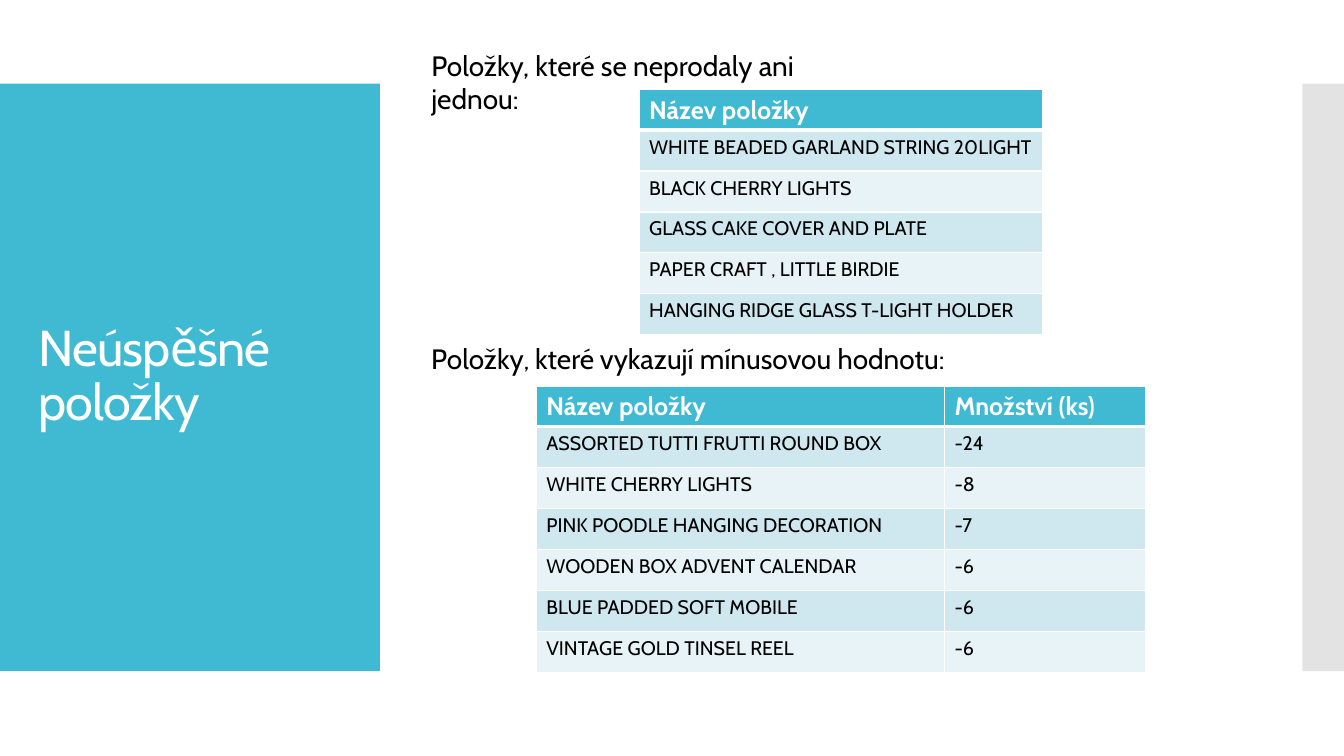
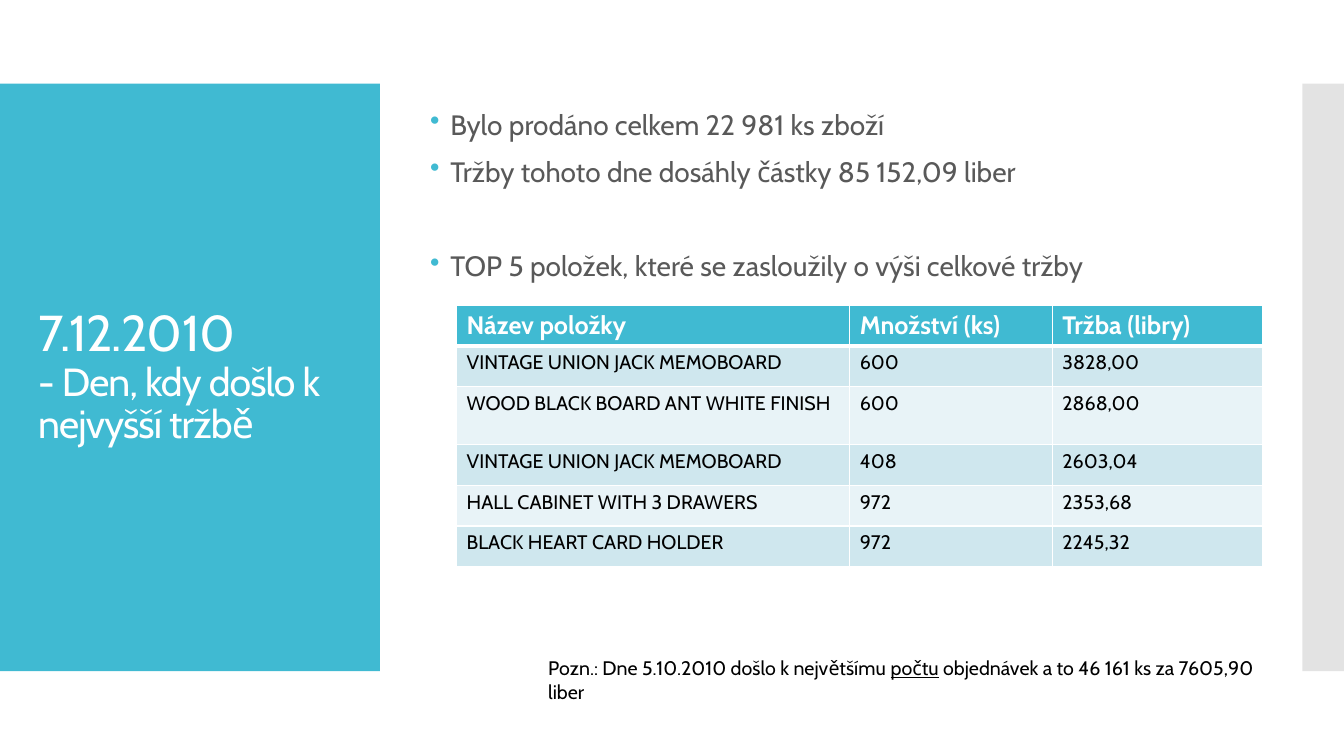
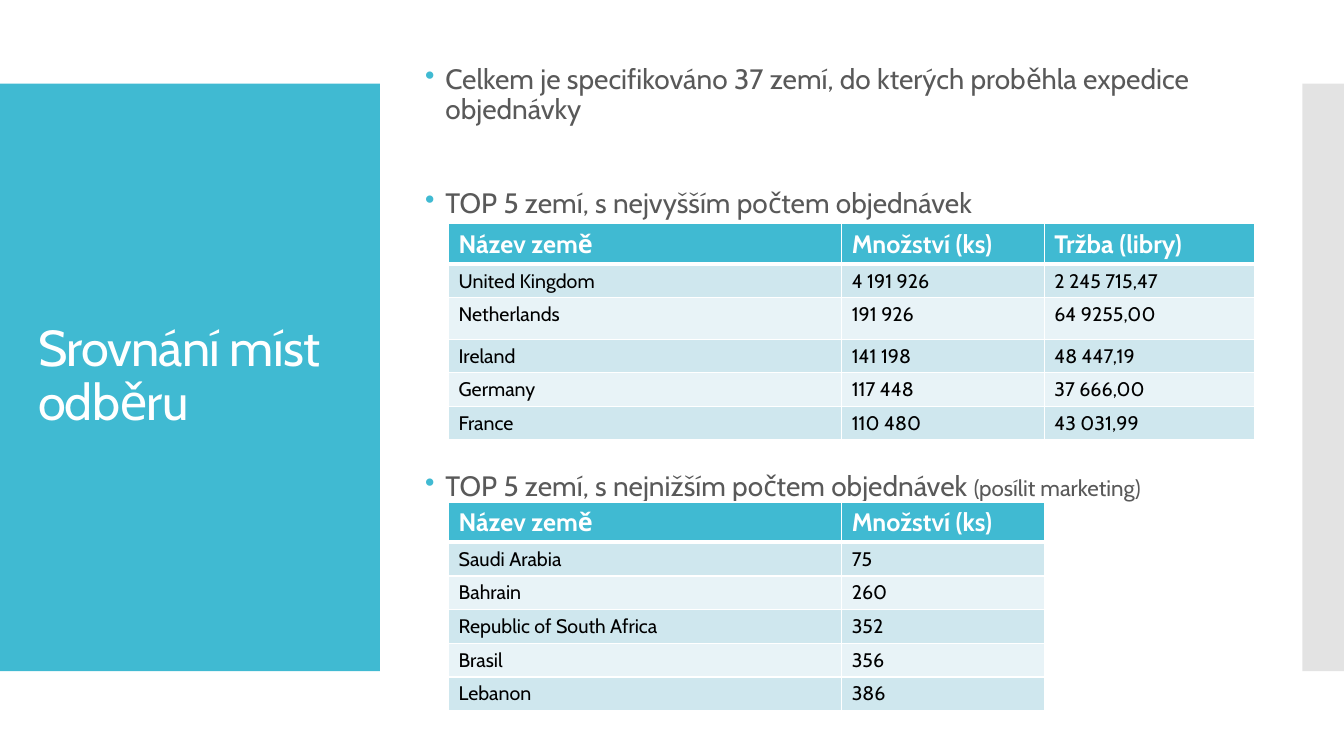
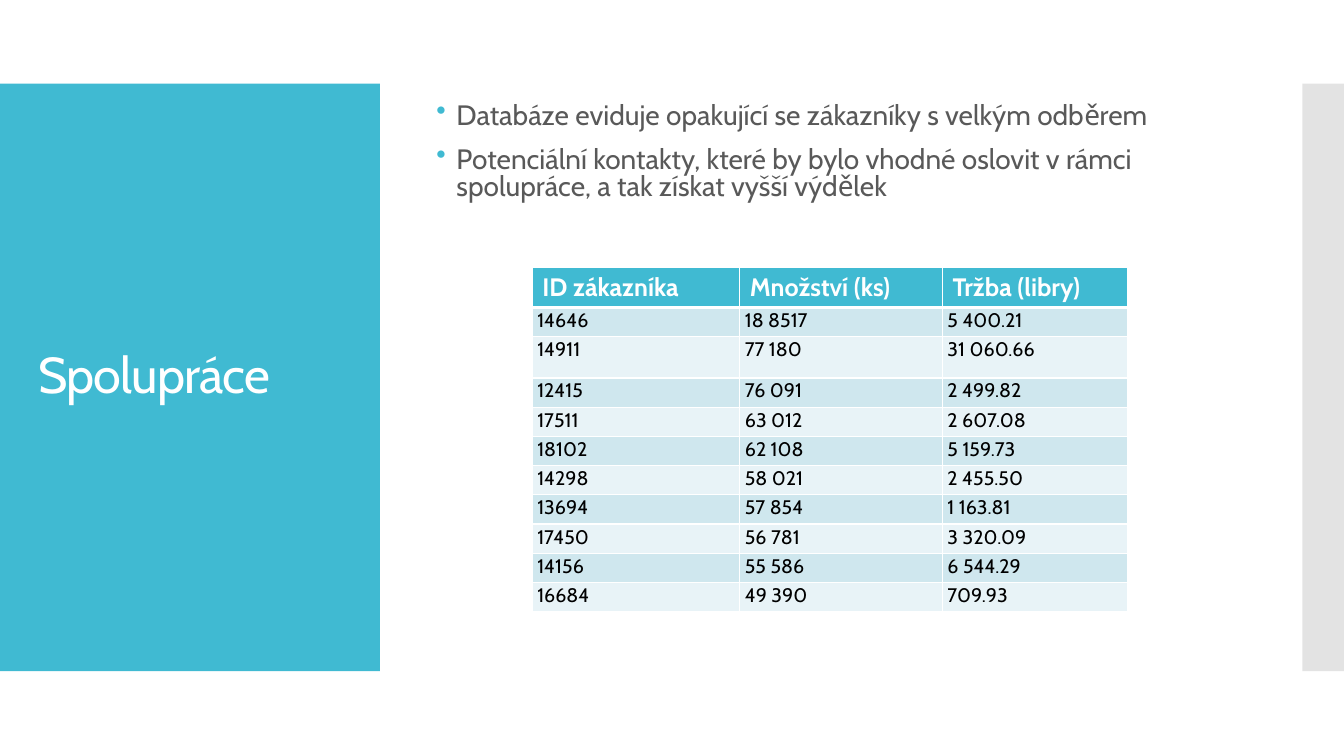
from lxml import etree
from pptx import Presentation
from pptx.dml.color import RGBColor
from pptx.enum.shapes import MSO_SHAPE
from pptx.enum.text import MSO_ANCHOR
from pptx.oxml.ns import qn
from pptx.util import Emu, Pt

RECT = MSO_SHAPE.RECTANGLE
TOP, MIDDLE = MSO_ANCHOR.TOP, MSO_ANCHOR.MIDDLE

EMU_PER_PX = 9144  # 100 px to the inch
FONT = "Cabin"
TEAL, GREY, WHITE, BLACK, BODY = "40BAD2", "C8C8C8", "FFFFFF", "000000", "595959"
BANDS = ["CFE7EE", "E8F3F7"]
HEADER_H = 40
BULLET_INDENT = 20
GAP = 12        # points before a bullet
LINE = 33.6     # points taken by one bullet line and its gap

# A run is (text, size) or (text, size, underlined).
# A bullet is (empty lines above it, runs).
# A table has its body rows share the height left by the header and the tall row.
SLIDES = [
    {
        "title": [[("Neúspěšné položky", 36)]],
        "tables": [
            {"at": (634, 89), "cols": [400], "height": 243, "rows": [
                ["Název položky"],
                ["WHITE BEADED GARLAND STRING 20LIGHT"],
                ["BLACK CHERRY LIGHTS"],
                ["GLASS CAKE COVER AND PLATE"],
                ["PAPER CRAFT , LITTLE BIRDIE"],
                ["HANGING RIDGE GLASS T-LIGHT HOLDER"],
            ]},
            {"at": (532, 383), "cols": [405, 200], "height": 284, "rows": [
                ["Název položky", "Množství (ks)"],
                ["ASSORTED TUTTI FRUTTI ROUND BOX", "-24"],
                ["WHITE CHERRY LIGHTS", "-8"],
                ["PINK POODLE HANGING DECORATION", "-7"],
                ["WOODEN BOX ADVENT CALENDAR", "-6"],
                ["BLUE PADDED SOFT MOBILE", "-6"],
                ["VINTAGE GOLD TINSEL REEL", "-6"],
            ]},
        ],
        "notes": [
            ((418, 43, 471, 44), [("Položky, které se neprodaly ani jednou:", 20)]),
            ((418, 334, 654, 74), [("Položky", 20), (", ", 18), ("které", 20), (" ", 18),
                                   ("vykazují mínusovou hodnotu:", 20)]),
        ],
    },
    {
        "title": [[("7.12.2010", 36)], [("- Den, kdy došlo k nejvyšší tržbě", 28)]],
        "bullets": {"at": (417, 87, 800, 216), "anchor": MIDDLE, "spacing": 0.9, "items": [
            (0, [("Bylo prodáno celkem 22 981 ks zboží", 20)]),
            (0, [("Tržby tohoto dne dosáhly částky 85 152,09 liber", 20)]),
            (1, [("TOP 5 položek, které se zasloužily o výši celkové tržby", 20)]),
        ]},
        "tables": [
            {"at": (453, 303), "cols": [390, 201, 209], "height": 259, "tall": (2, 58), "rows": [
                ["Název položky", "Množství (ks)", "Tržba (libry)"],
                ["VINTAGE UNION JACK MEMOBOARD", "600", "3828,00"],
                ["WOOD BLACK BOARD ANT WHITE FINISH", "600", "2868,00"],
                ["VINTAGE UNION JACK MEMOBOARD", "408", "2603,04"],
                ["HALL CABINET WITH 3 DRAWERS", "972", "2353,68"],
                ["BLACK HEART CARD HOLDER", "972", "2245,32"],
            ]},
        ],
        "notes": [
            ((534, 646, 735, 34), [("Pozn.: Dne 5.10.2010 došlo k největšímu ", 14),
                                   ("počtu", 14, True),
                                   (" objednávek a to 46 161 ks za 7605,90 liber", 14)]),
        ],
    },
    {
        "title": [[("Srovnání míst odběru", 36)]],
        "bullets": {"at": (412, 60, 800, 473), "anchor": TOP, "spacing": 0.9, "items": [
            (0, [("Celkem je specifikováno 37 zemí, do kterých proběhla expedice objednávky", 20)]),
            (1, [("TOP 5 zemí, s nejvyšším počtem objednávek", 20)]),
            (5, [("TOP 5 zemí, s nejnižším počtem objednávek ", 20), ("(posílit marketing)", 16)]),
        ]},
        "tables": [
            {"at": (445, 222), "cols": [390, 201, 209], "height": 214, "tall": (2, 41), "rows": [
                ["Název země", "Množství (ks)", "Tržba (libry)"],
                ["United Kingdom", "4 191 926", "2 245 715,47"],
                ["Netherlands", "191 926", "64 9255,00"],
                ["Ireland", "141 198", "48 447,19"],
                ["Germany", "117 448", "37 666,00"],
                ["France", "110 480", "43 031,99"],
            ]},
            {"at": (445, 498), "cols": [390, 201], "height": 207, "rows": [
                ["Název země", "Množství (ks)"],
                ["Saudi Arabia", "75"],
                ["Bahrain", "260"],
                ["Republic of South Africa", "352"],
                ["Brasil", "356"],
                ["Lebanon", "386"],
            ]},
        ],
    },
    {
        "title": [[("Spolupráce", 36)]],
        "bullets": {"at": (423, 94, 800, 115), "anchor": MIDDLE, "spacing": 0.8, "items": [
            (0, [("Databáze eviduje opakující se zákazníky s velkým odběrem", 20)]),
            (0, [("Potenciální kontakty, které by bylo vhodné oslovit v rámci spolupráce, "
                  "a tak získat vyšší výdělek", 20)]),
        ]},
        "tables": [
            {"at": (528, 265), "cols": [206, 201, 184], "height": 342, "tall": (2, 41),
             "margins": (5, 1), "rows": [
                ["ID zákazníka", "Množství (ks)", "Tržba (libry)"],
                ["14646", "18 8517", "5 400.21"],
                ["14911", "77 180", "31 060.66"],
                ["12415", "76 091", "2 499.82"],
                ["17511", "63 012", "2 607.08"],
                ["18102", "62 108", "5 159.73"],
                ["14298", "58 021", "2 455.50"],
                ["13694", "57 854", "1 163.81"],
                ["17450", "56 781", "3 320.09"],
                ["14156", "55 586", "6 544.29"],
                ["16684", "49 390", "709.93"],
            ]},
        ],
    },
]


def px(n):
    return Emu(round(n * EMU_PER_PX))


def rgb(color):
    return RGBColor.from_string(color)


def add_band(slide, *at, color, alpha=None):
    sp = slide.shapes.add_shape(RECT, *map(px, at))
    sp.shadow.inherit = False
    sp.fill.solid()
    sp.fill.fore_color.rgb = rgb(color)
    sp.line.fill.background()
    if alpha:
        clr = sp.fill._xPr.find(qn("a:solidFill"))[0]
        etree.SubElement(clr, qn("a:alpha"), val=str(alpha * 1000))


def add_run(p, text, size, underline=False, color=BLACK, bold=False):
    r = p.add_run()
    r.text = text
    font = r.font
    font.name, font.size, font.bold = FONT, Pt(size), bold
    font.color.rgb = rgb(color)
    if underline:
        font.underline = True
    return r


def add_box(slide, at, anchor=TOP):
    tf = slide.shapes.add_textbox(*map(px, at)).text_frame
    tf.word_wrap = True
    tf.vertical_anchor = anchor
    return tf


def add_title(slide, lines):
    p = add_box(slide, (28, 123, 322, 503), MIDDLE).paragraphs[0]
    p.line_spacing = 0.9
    for i, runs in enumerate(lines):
        if i:
            p.add_line_break()
        for run in runs:
            add_run(p, *run, color=WHITE).font._element.set("spc", "-60")


def add_bullets(slide, at, anchor, spacing, items):
    tf = add_box(slide, at, anchor)
    for i, (skipped, runs) in enumerate(items):
        p = tf.add_paragraph() if i else tf.paragraphs[0]
        p.line_spacing = spacing
        p.space_before = Pt(GAP + skipped * LINE)
        pPr = p._p.get_or_add_pPr()
        pPr.set("marL", str(px(BULLET_INDENT)))
        pPr.set("indent", str(px(-BULLET_INDENT)))
        clr = etree.SubElement(pPr, qn("a:buClr"))
        etree.SubElement(clr, qn("a:srgbClr"), val=TEAL)
        etree.SubElement(pPr, qn("a:buChar"), char="•")
        for run in runs:
            add_run(p, *run, color=BODY)


def set_borders(cell, **widths):
    """Draw white borders; widths are points by side (L, R, T, B)."""
    tcPr = cell._tc.get_or_add_tcPr()
    for i, side in enumerate("LRTB"):
        ln = etree.Element(qn("a:ln" + side), w=str(Pt(widths.get(side, 1))))
        fill = etree.SubElement(ln, qn("a:solidFill"))
        etree.SubElement(fill, qn("a:srgbClr"), val=WHITE)
        tcPr.insert(i, ln)


def add_table(slide, at, cols, height, rows, tall=None, margins=None):
    tall_row, tall_h = tall or (None, 0)
    shared = len(rows) - 1 - bool(tall)
    body_h = (height - HEADER_H - tall_h) / shared
    frame = slide.shapes.add_table(len(rows), len(cols), *map(px, (*at, sum(cols), height)))
    table = frame.table
    table.horz_banding = False
    for col, width in zip(table.columns, cols):
        col.width = px(width)
    for i, texts in enumerate(rows):
        header = i == 0
        table.rows[i].height = px(HEADER_H if header else tall_h if i == tall_row else body_h)
        for j, text in enumerate(texts):
            cell = table.cell(i, j)
            cell.fill.solid()
            cell.fill.fore_color.rgb = rgb(TEAL if header else BANDS[(i - 1) % 2])
            set_borders(cell, B=3 if header else 1, T=3 if i == 1 else 1)
            if margins and not header:
                cell.margin_left = cell.margin_right = px(margins[0])
                cell.margin_top = cell.margin_bottom = px(margins[1])
            add_run(cell.text_frame.paragraphs[0], text, 18 if header else 14,
                    color=WHITE if header else BLACK, bold=header)


def add_note(slide, at, runs):
    p = add_box(slide, at).paragraphs[0]
    for run in runs:
        add_run(p, *run)


def main():
    prs = Presentation()
    prs.slide_width, prs.slide_height = px(1333.33), px(750)
    for content in SLIDES:
        slide = prs.slides.add_slide(prs.slide_layouts[6])
        add_band(slide, 0, 83, 377, 583, color=TEAL)
        add_band(slide, 1292, 83, 42, 583, color=GREY, alpha=50)
        add_title(slide, content["title"])
        if "bullets" in content:
            add_bullets(slide, **content["bullets"])
        for table in content["tables"]:
            add_table(slide, **table)
        for at, runs in content.get("notes", []):
            add_note(slide, at, runs)
    prs.save("out.pptx")


if __name__ == "__main__":
    main()
